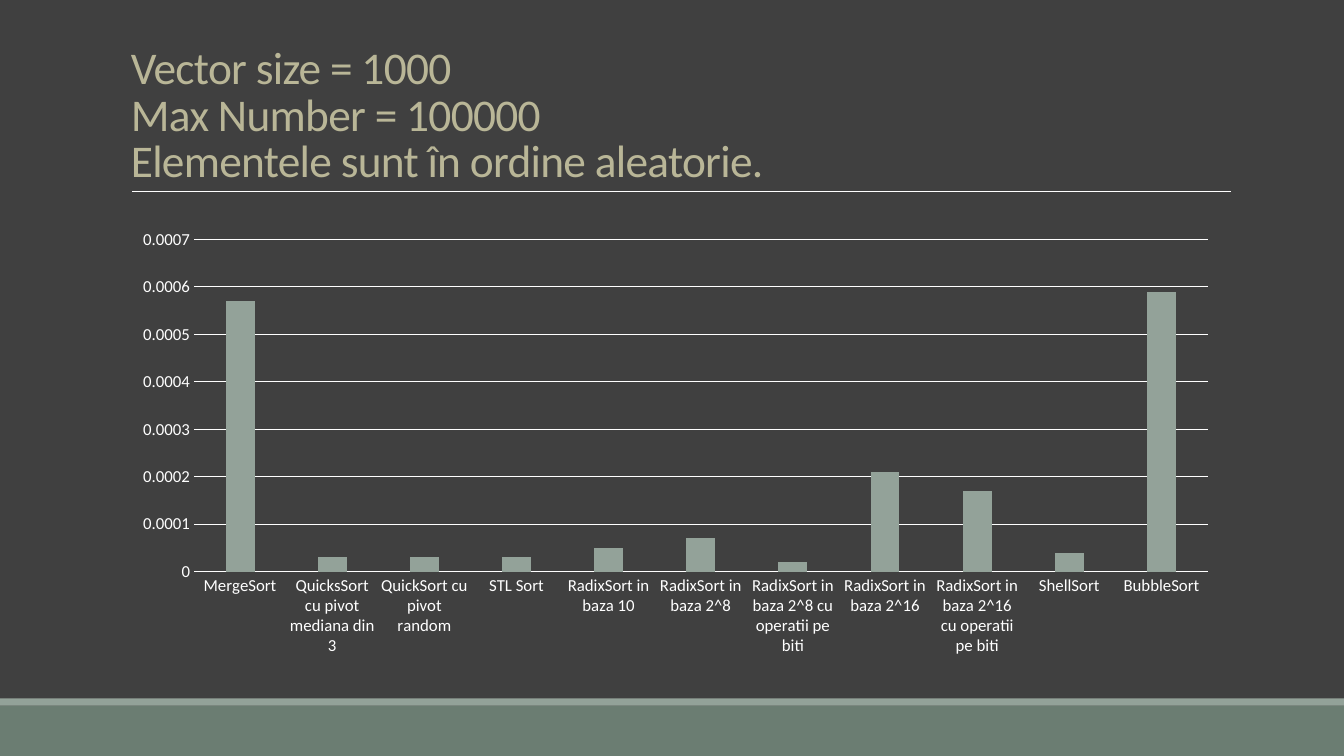
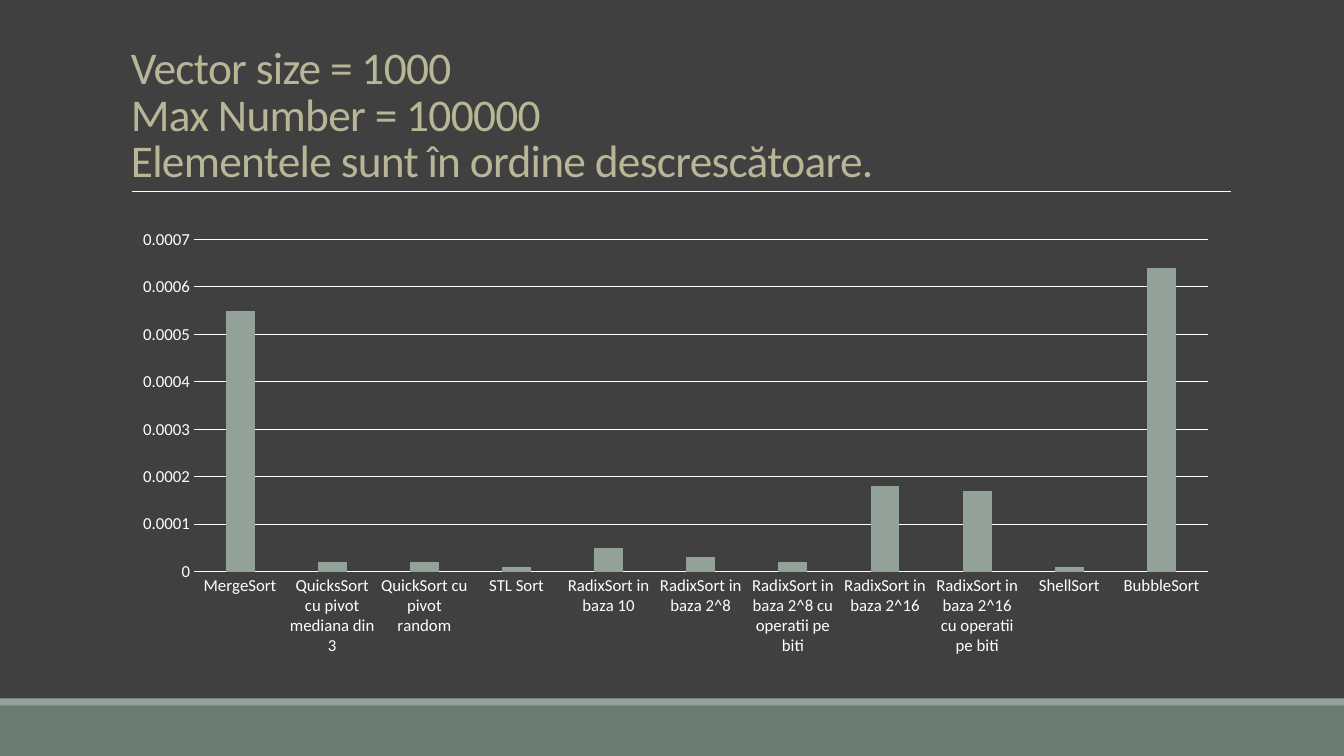
from dataclasses import dataclass

from lxml.etree import SubElement
from pptx import Presentation
from pptx.chart.data import CategoryChartData
from pptx.dml.color import RGBColor
from pptx.enum.chart import XL_CHART_TYPE as ChartType, XL_TICK_MARK as TickMark
from pptx.enum.shapes import MSO_CONNECTOR as Connector, MSO_SHAPE as Shape
from pptx.enum.text import MSO_ANCHOR as Anchor
from pptx.oxml.ns import qn
from pptx.util import Cm, Pt


@dataclass(frozen=True)
class Theme:
    font: str = "Calibri"
    background: RGBColor = RGBColor(0x40, 0x40, 0x40)
    footer: RGBColor = RGBColor(0x6B, 0x7D, 0x72)
    accent: RGBColor = RGBColor(0x93, 0xA2, 0x99)
    title: RGBColor = RGBColor(0xB9, 0xB6, 0x97)
    light: RGBColor = RGBColor(0xFF, 0xFF, 0xFF)
    title_size: Pt = Pt(32.4)
    chart_size: Pt = Pt(10)
    axis_size: Pt = Pt(12)
    rule_width: Pt = Pt(0.5)
    grid_width: Pt = Pt(0.75)


WIDTH, HEIGHT = 33.87, 19.05
LEFT, CONTENT_WIDTH = 3.05, 27.94
FOOTER_TOP, STRIPE_HEIGHT = 17.78, 0.18
RULE_LEFT, RULE_RIGHT, RULE_TOP = 3.33, 31.01, 4.83

ALGORITHMS = [
    "MergeSort",
    "QuicksSort cu pivot mediana din 3",
    "QuickSort cu pivot random",
    "STL Sort",
    "RadixSort in baza 10",
    "RadixSort in baza 2^8",
    "RadixSort in baza 2^8 cu operatii pe biti",
    "RadixSort in baza 2^16",
    "RadixSort in baza 2^16 cu operatii pe biti",
    "ShellSort",
    "BubbleSort",
]

TIMINGS = {
    "aleatorie": [0.00057, 0.00003, 0.00003, 0.00003, 0.00005, 0.00007,
                  0.00002, 0.00021, 0.00017, 0.00004, 0.00059],
    "descrescătoare": [0.00055, 0.00002, 0.00002, 0.00001, 0.00005, 0.00003,
                       0.00002, 0.00018, 0.00017, 0.00001, 0.00064],
}


def apply(target, values):
    for name, value in values.items():
        setattr(target, name, value)


class Deck:
    def __init__(self, theme):
        self.theme = theme
        self.presentation = Presentation()
        apply(self.presentation, {"slide_width": Cm(WIDTH), "slide_height": Cm(HEIGHT)})
        self.slide = None

    def new_slide(self):
        self.slide = self.presentation.slides.add_slide(self.presentation.slide_layouts[6])
        backdrop = self.slide.background.fill
        backdrop.solid()
        backdrop.fore_color.rgb = self.theme.background
        self.band(FOOTER_TOP, HEIGHT - FOOTER_TOP, self.theme.footer)
        self.band(FOOTER_TOP - STRIPE_HEIGHT, STRIPE_HEIGHT, self.theme.accent)
        self.rule()

    def band(self, top, height, color):
        band = self.slide.shapes.add_shape(
            Shape.RECTANGLE, Cm(0), Cm(top), Cm(WIDTH), Cm(height))
        band.shadow.inherit = False
        band.fill.solid()
        band.fill.fore_color.rgb = color
        band.line.fill.background()

    def rule(self):
        rule = self.slide.shapes.add_connector(
            Connector.STRAIGHT, Cm(RULE_LEFT), Cm(RULE_TOP), Cm(RULE_RIGHT), Cm(RULE_TOP))
        self.stroke(rule.line, self.theme.rule_width)
        SubElement(rule.line._get_or_add_ln().getparent(), qn("a:effectLst"))

    def stroke(self, line, width):
        line.color.rgb = self.theme.light
        line.width = width

    def style_font(self, font, size, color):
        apply(font, {"name": self.theme.font, "size": size, "bold": False})
        font.color.rgb = color

    def title(self, lines):
        frame = self.slide.shapes.add_textbox(
            Cm(LEFT), Cm(0.79), Cm(CONTENT_WIDTH), Cm(4.04)).text_frame
        apply(frame, {"word_wrap": True, "vertical_anchor": Anchor.BOTTOM})
        heading = frame.paragraphs[0]
        apply(heading, {"text": "\v".join(lines), "line_spacing": 0.85})
        for run in heading.runs:
            self.style_font(run.font, self.theme.title_size, self.theme.title)
            run.font._element.set("spc", "-50")

    def column_chart(self, categories, values):
        data = CategoryChartData(number_format="0.00E+00")
        data.categories = categories
        data.add_series("Series 1", values)
        chart = self.slide.shapes.add_chart(
            ChartType.COLUMN_CLUSTERED, Cm(LEFT), Cm(5.56),
            Cm(CONTENT_WIDTH), Cm(11.18), data).chart
        apply(chart, {"has_legend": False, "has_title": False})
        self.style_font(chart.font, self.theme.chart_size, self.theme.light)

        plot = chart.plots[0]
        apply(plot, {"gap_width": 219, "overlap": -27, "vary_by_categories": False})
        columns = plot.series[0].format.fill
        columns.solid()
        columns.fore_color.rgb = self.theme.accent

        for axis in (chart.category_axis, chart.value_axis):
            apply(axis, {"major_tick_mark": TickMark.NONE, "minor_tick_mark": TickMark.NONE})
            self.style_font(axis.tick_labels.font, self.theme.axis_size, self.theme.light)
        self.stroke(chart.category_axis.format.line, self.theme.grid_width)

        scale = chart.value_axis
        apply(scale, {"minimum_scale": 0, "maximum_scale": 0.0007,
                      "major_unit": 0.0001, "has_major_gridlines": True})
        apply(scale.tick_labels, {"number_format": "General", "number_format_is_linked": False})
        scale.format.line.fill.background()
        self.stroke(scale.major_gridlines.format.line, self.theme.grid_width)


def main():
    deck = Deck(Theme())
    for order, timings in TIMINGS.items():
        deck.new_slide()
        deck.title(["Vector size = 1000", "Max Number = 100000",
                    f"Elementele sunt în ordine {order}."])
        deck.column_chart(ALGORITHMS, timings)
    deck.presentation.save("out.pptx")


if __name__ == "__main__":
    main()
